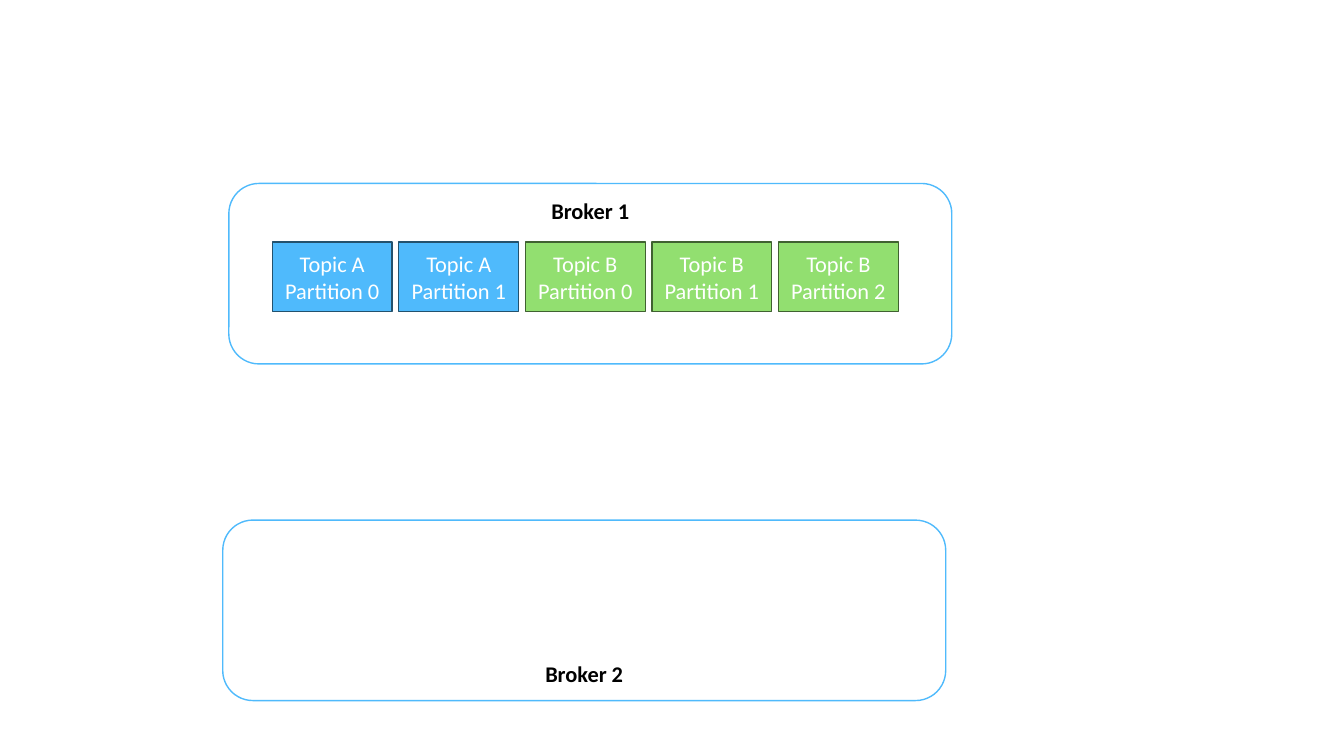
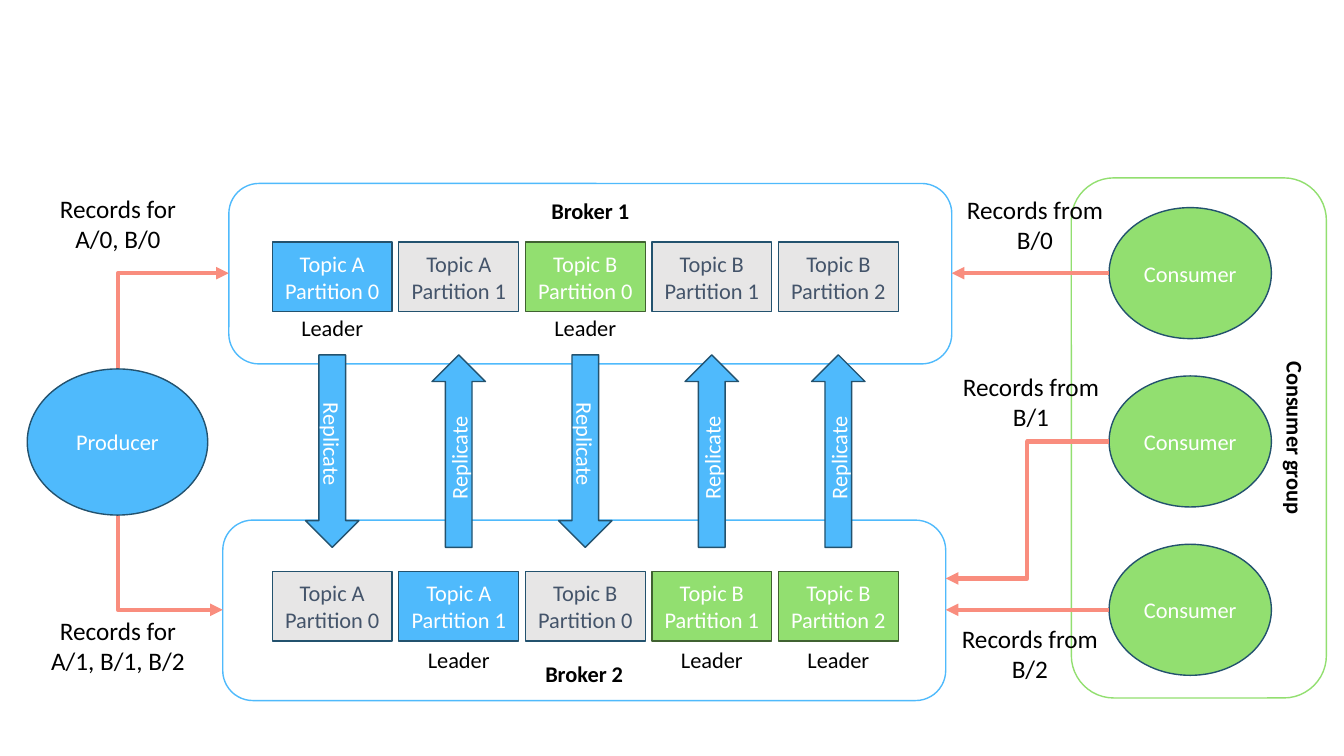
from lxml.etree import SubElement
from pptx import Presentation
from pptx.dml.color import RGBColor
from pptx.enum.shapes import MSO_CONNECTOR, MSO_SHAPE
from pptx.enum.text import MSO_ANCHOR, PP_ALIGN
from pptx.oxml.ns import qn
from pptx.util import Inches, Pt

FONT = "Calibri"
BLUE, GREEN, GREY = "4FBAFC", "92DF70", "E7E6E6"
NAVY, DARK_GREEN, SLATE = "23526E", "406231", "44546A"
CORAL, WHITE, BLACK = "F98D7E", "FFFFFF", "000000"

# Partition grid shared by both brokers
PARTITIONS = [("A", 0), ("A", 1), ("B", 0), ("B", 1), ("B", 2)]
FIRST_LEFT, LAST_LEFT = 2.7, 7.72
PITCH = (LAST_LEFT - FIRST_LEFT) / (len(PARTITIONS) - 1)
PARTITION_W, PARTITION_H = 1.19, 0.69
BROKER_1_ROW, BROKER_2_ROW = 2.4, 5.67
BROKER_1_LEADERS = {0, 2}
BROKER_2_LEADERS = {1, 3, 4}


def rgb(color):
    return RGBColor.from_string(color)


def write(frame, lines, size=16, color=BLACK, bold=False,
          anchor=MSO_ANCHOR.TOP, wrap=True):
    frame.word_wrap = wrap
    frame.vertical_anchor = anchor
    for index, line in enumerate(lines):
        paragraph = frame.add_paragraph() if index else frame.paragraphs[0]
        paragraph.alignment = PP_ALIGN.CENTER
        run = paragraph.add_run()
        run.text = line
        run.font.name = FONT
        run.font.size = Pt(size)
        run.font.bold = bold
        run.font.color.rgb = rgb(color)


def add_box(slide, preset, box, lines, fill, outline, color=WHITE,
            bold=False, anchor=MSO_ANCHOR.MIDDLE, rotation=0):
    shape = slide.shapes.add_shape(preset, *map(Inches, box))
    shape.shadow.inherit = False
    shape.rotation = rotation
    if fill:
        shape.fill.solid()
        shape.fill.fore_color.rgb = rgb(fill)
    else:
        shape.fill.background()
    shape.line.color.rgb = rgb(outline)
    shape.line.width = Pt(1)
    write(shape.text_frame, lines, color=color, bold=bold, anchor=anchor)


def add_label(slide, box, lines, size=18):
    label = slide.shapes.add_textbox(*map(Inches, box))
    write(label.text_frame, lines, size=size, wrap=False)


def add_flow(slide, arrow_tip, source, kind, preset=None):
    """Draw a record flow, with the arrowhead at its first point."""
    flow = slide.shapes.add_connector(kind, *map(Inches, arrow_tip + source))
    flow.line.color.rgb = rgb(CORAL)
    flow.line.width = Pt(3)
    properties = flow.element.spPr
    if preset:
        properties.find(qn("a:prstGeom")).set("prst", preset)
    SubElement(properties.find(qn("a:ln")), qn("a:headEnd"), type="triangle")
    SubElement(properties, qn("a:effectLst"))


def add_brokers(slide):
    for name, left, top, anchor in (
            ("Broker 1", 2.27, 1.82, MSO_ANCHOR.TOP),
            ("Broker 2", 2.21, 5.16, MSO_ANCHOR.BOTTOM)):
        add_box(slide, MSO_SHAPE.ROUNDED_RECTANGLE, (left, top, 7.17, 1.79),
                [name], WHITE, BLUE, BLACK, True, anchor)


def column_center(column):
    return FIRST_LEFT + column * PITCH + PARTITION_W / 2


def add_partitions(slide, top, active):
    """Draw one row; partitions that are not active are grey."""
    topic_colors = {"A": (BLUE, NAVY, WHITE), "B": (GREEN, DARK_GREEN, WHITE)}
    for column, (topic, number) in enumerate(PARTITIONS):
        colors = topic_colors[topic] if column in active else (GREY, NAVY, SLATE)
        add_box(slide, MSO_SHAPE.RECTANGLE,
                (FIRST_LEFT + column * PITCH, top, PARTITION_W, PARTITION_H),
                [f"Topic {topic}", f"Partition {number}"], *colors)


def add_leaders(slide, top, leaders):
    for column in sorted(leaders):
        add_label(slide, (column_center(column) - 0.41, top, 0.82, 0.37),
                  ["Leader"], size=16)


def add_replication(slide):
    length, thickness = 1.91, 0.53
    for column in range(len(PARTITIONS)):
        add_box(slide, MSO_SHAPE.RIGHT_ARROW,
                (column_center(column) - length / 2, 4.21, length, thickness),
                ["Replicate"], BLUE, NAVY,
                rotation=90 if column in BROKER_1_LEADERS else 270)


def add_producer(slide):
    add_flow(slide, (2.27, 2.71), (1.17, 3.66), MSO_CONNECTOR.ELBOW,
             "bentConnector2")
    add_flow(slide, (2.21, 6.05), (1.17, 5.11), MSO_CONNECTOR.ELBOW,
             "bentConnector2")
    add_box(slide, MSO_SHAPE.OVAL, (0.27, 3.66, 1.79, 1.45), ["Producer"],
            BLUE, NAVY)
    add_label(slide, (0.49, 1.87, 1.36, 0.71), ["Records for", "A/0, B/0"])
    add_label(slide, (0.4, 6.05, 1.54, 0.71), ["Records for", "A/1, B/1, B/2"])


def add_consumers(slide):
    for row in range(3):
        add_box(slide, MSO_SHAPE.OVAL, (11, 2.06 + row * 1.67, 1.61, 1.3),
                ["Consumer"], GREEN, NAVY)
    add_box(slide, MSO_SHAPE.ROUNDED_RECTANGLE, (9.31, 3.08, 5.16, 2.53),
            ["Consumer group"], None, GREEN, BLACK, True, MSO_ANCHOR.TOP, 90)
    add_flow(slide, (9.44, 2.71), (11, 2.71), MSO_CONNECTOR.STRAIGHT)
    add_flow(slide, (9.38, 5.74), (11, 4.38), MSO_CONNECTOR.ELBOW)
    add_flow(slide, (9.38, 6.05), (11, 6.05), MSO_CONNECTOR.STRAIGHT)
    for partition, left, top in (("B/0", 9.48, 1.88), ("B/1", 9.44, 3.63),
                                 ("B/2", 9.43, 6.13)):
        add_label(slide, (left, top, 1.57, 0.71), ["Records from", partition])


def main():
    deck = Presentation()
    deck.slide_width, deck.slide_height = Inches(13.33), Inches(7.5)
    blank = deck.slide_layouts[6]

    # All partitions on one broker
    single = deck.slides.add_slide(blank)
    add_brokers(single)
    add_partitions(single, BROKER_1_ROW, set(range(len(PARTITIONS))))

    # Leaders spread over two brokers, with replicas
    replicated = deck.slides.add_slide(blank)
    add_brokers(replicated)
    add_producer(replicated)
    add_partitions(replicated, BROKER_1_ROW, BROKER_1_LEADERS)
    add_partitions(replicated, BROKER_2_ROW, BROKER_2_LEADERS)
    add_leaders(replicated, 3.07, BROKER_1_LEADERS)
    add_leaders(replicated, 6.36, BROKER_2_LEADERS)
    add_replication(replicated)
    add_consumers(replicated)

    deck.save("out.pptx")


if __name__ == "__main__":
    main()
